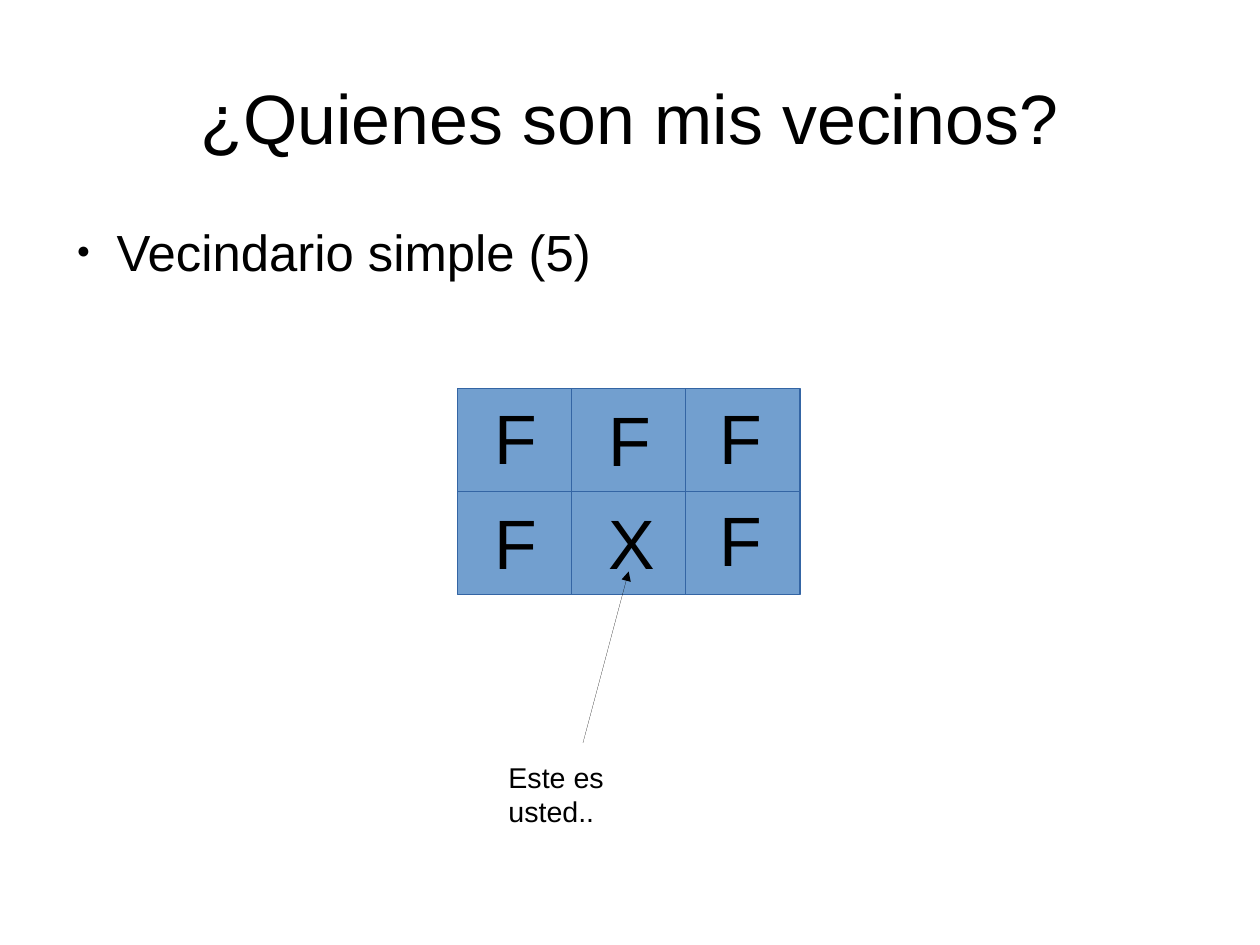
from lxml import etree
from pptx import Presentation
from pptx import util as u
from pptx.dml.color import RGBColor
from pptx.enum import shapes, text
from pptx.oxml import ns

BLACK = RGBColor(0x00, 0x00, 0x00)
CELL_BLUE = RGBColor(0x72, 0x9F, 0xCF)
EDGE_BLUE = RGBColor(0x34, 0x65, 0xA4)
CM_PER_INCH = 2.54
NO_INSETS = (0, 0, 0, 0)
TEXT_INSETS = (0.1, 0.05, 0.1, 0.05)


class Slide:
    font_name = "Arial"
    hairline = u.Pt(0)

    def __init__(self, deck):
        self.page = deck.slides.add_slide(deck.slide_layouts[6])
        self.target = self.page.shapes

    def start_group(self):
        self.target = self.page.shapes.add_group_shape().shapes

    def end_group(self):
        self.target = self.page.shapes

    def add_text(self, words, place, size, insets=TEXT_INSETS, wrap=True,
                 fit=text.MSO_AUTO_SIZE.SHAPE_TO_FIT_TEXT,
                 anchor=text.MSO_ANCHOR.TOP, align=text.PP_ALIGN.LEFT):
        box = self.target.add_textbox(*map(u.Inches, place))
        frame = box.text_frame
        left, top, right, bottom = map(u.Inches, insets)
        frame_format = {
            "margin_left": left, "margin_top": top,
            "margin_right": right, "margin_bottom": bottom,
            "word_wrap": wrap, "auto_size": fit, "vertical_anchor": anchor,
        }
        for name, value in frame_format.items():
            setattr(frame, name, value)
        para = frame.paragraphs[0]
        para.alignment = align
        span = para.add_run()
        span.text = words
        for name, value in {"name": self.font_name, "size": u.Pt(size)}.items():
            setattr(span.font, name, value)
        span.font.color.rgb = BLACK
        return para

    def add_bullet(self, words, place, size):
        para = self.add_text(words, place, size, NO_INSETS, fit=text.MSO_AUTO_SIZE.NONE)
        para.space_after = u.Pt(14.2)
        props = para._p.get_or_add_pPr()
        props.set("marL", str(u.Inches(0.47)))
        props.set("indent", str(u.Inches(-0.35)))
        colour = etree.SubElement(props, ns.qn("a:buClr"))
        etree.SubElement(colour, ns.qn("a:srgbClr"), val=str(BLACK))
        etree.SubElement(props, ns.qn("a:buSzPct"), val="45000")
        etree.SubElement(props, ns.qn("a:buFont"), typeface=self.font_name)
        etree.SubElement(props, ns.qn("a:buChar"), char="●")

    def add_cell(self, place):
        cell = self.target.add_shape(shapes.MSO_SHAPE.RECTANGLE, *map(u.Inches, place))
        cell.shadow.inherit = False
        cell.fill.solid()
        cell.fill.fore_color.rgb = CELL_BLUE
        cell.line.color.rgb = EDGE_BLUE
        cell.line.width = self.hairline

    def add_arrow(self, start, end):
        arrow = self.target.add_connector(
            shapes.MSO_CONNECTOR.STRAIGHT, *map(u.Inches, start + end))
        arrow.line.color.rgb = BLACK
        arrow.line.width = self.hairline
        etree.SubElement(arrow.line._get_or_add_ln(), ns.qn("a:tailEnd"), type="triangle")
        etree.SubElement(arrow._element.spPr, ns.qn("a:effectLst"))
        arrow._element.remove(arrow._element.find(ns.qn("p:style")))


def main():
    deck = Presentation()
    deck.slide_width = u.Inches(28 / CM_PER_INCH)
    deck.slide_height = u.Inches(21 / CM_PER_INCH)
    slide = Slide(deck)

    slide.add_text("¿Quienes son mis vecinos?", (0.55, 0.33, 9.92, 1.38), 44, NO_INSETS,
                   anchor=text.MSO_ANCHOR.MIDDLE, align=text.PP_ALIGN.CENTER)
    slide.add_bullet("Vecindario simple (5)", (0.55, 1.93, 9.92, 4.79), 32)

    grid_left, grid_top, cell_width, cell_height = 4, 3.4, 1, 0.9
    neighbours = ("FFF", "FXF")
    letter_offsets = (
        ((0.23, 0), (0.23, 0.02), (0.2, 0)),
        ((0.23, 0.02), (0.23, 0.02), (0.2, 0)),
    )
    corners = {
        (row, column): (grid_left + column * cell_width, grid_top + row * cell_height)
        for row, letters in enumerate(neighbours) for column in range(len(letters))
    }
    slide.start_group()
    for left, top in corners.values():
        slide.add_cell((left, top, cell_width, cell_height))
    for (row, column), (left, top) in corners.items():
        shift_x, shift_y = letter_offsets[row][column]
        slide.add_text(neighbours[row][column],
                       (left + shift_x, top + shift_y, 0.57, 0.78), 44)
    slide.end_group()

    slide.add_arrow((5.1, 6.5), (5.5, 5))
    slide.add_text("Este es usted..", (4.35, 6.6, 1.85, 0.38), 18, wrap=False)
    deck.save("out.pptx")


if __name__ == "__main__":
    main()
